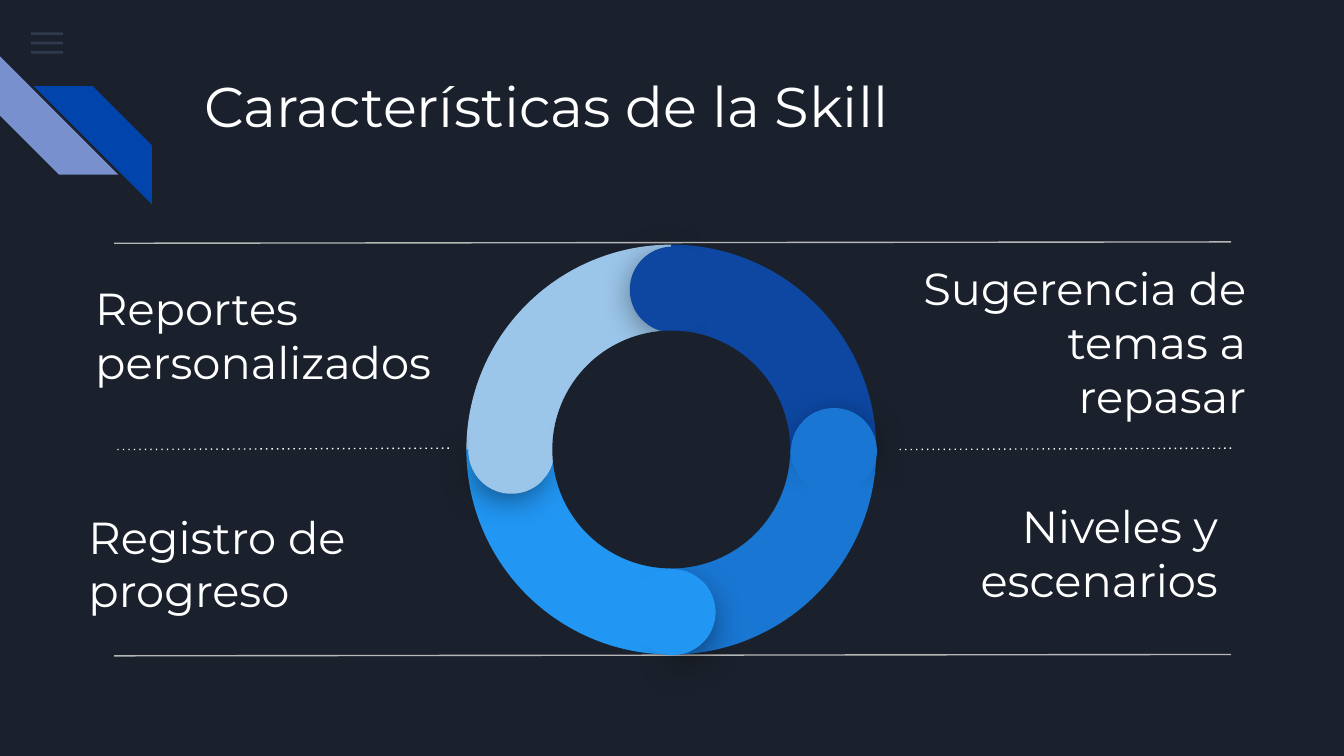
import math

from lxml import etree
from pptx import Presentation
from pptx import util as u
from pptx.dml.color import RGBColor
from pptx.enum import dml, shapes, text
from pptx.oxml import ns

NIGHT = RGBColor(0x1B, 0x21, 0x2C)
WHITE = RGBColor(0xFF, 0xFF, 0xFF)
GRAY = RGBColor(0xB7, 0xB7, 0xB7)
SLATE = RGBColor(0x55, 0x68, 0x8B)
LAVENDER = RGBColor(0x78, 0x90, 0xCD)
COBALT = RGBColor(0x01, 0x45, 0xAC)
BLACK = RGBColor(0, 0, 0)
# Ring quarters, clockwise from the upper left
RING_COLORS = (
    RGBColor(0x9B, 0xC5, 0xE9),
    RGBColor(0x0D, 0x47, 0xA1),
    RGBColor(0x19, 0x76, 0xD2),
    RGBColor(0x21, 0x96, 0xF3),
)
FONT = "Montserrat"
KIND = shapes.MSO_SHAPE


def add_child(parent, tag, **attributes):
    return etree.SubElement(parent, ns.qn(tag), attributes)


def add_figure(page, kind, box, color, rotation=0, adjustments=()):
    figure = page.shapes.add_shape(kind, *map(u.Inches, box))
    figure.shadow.inherit = False
    figure.fill.solid()
    figure.fill.fore_color.rgb = color
    figure.line.fill.background()
    figure.rotation = rotation
    for index, value in enumerate(adjustments):
        figure.adjustments[index] = value
    return figure


def add_centered(page, kind, center, size, color, rotation=0, adjustments=()):
    box = (center[0] - size / 2, center[1] - size / 2, size, size)
    return add_figure(page, kind, box, color, rotation, adjustments)


def add_soft_shadow(figure):
    effects = figure._element.spPr.find(ns.qn("a:effectLst"))
    shadow = add_child(effects, "a:outerShdw", blurRad=str(u.Pt(18)),
                       dist=str(u.Pt(4)), dir="5400000", algn="bl", rotWithShape="0")
    color = add_child(shadow, "a:srgbClr", val=str(BLACK))
    add_child(color, "a:alpha", val="55000")


def add_menu_icon(page, box):
    left, top, width, height = box
    bar = 0.02
    for index in range(3):
        y = top + index * (height - bar) / 2
        figure = add_figure(page, KIND.RECTANGLE, (left, y, width, bar), SLATE)
        color = figure.fill._xPr.find(ns.qn("a:solidFill"))[0]
        add_child(color, "a:alpha", val="36000")


def add_corner_stripes(page, box):
    left, top, width, height = box
    size = 0.88
    add_figure(page, KIND.DIAGONAL_STRIPE, (left, top, size, size), LAVENDER, 270, [0.5])
    stripe = add_figure(page, KIND.DIAGONAL_STRIPE,
                        (left + width - size, top + height - size, size, size),
                        COBALT, 0, [0.5])
    stripe._element.spPr.find(ns.qn("a:xfrm")).set("flipH", "1")


def add_text(page, box, words, size, align=text.PP_ALIGN.LEFT,
             anchor=text.MSO_ANCHOR.MIDDLE):
    frame = page.shapes.add_textbox(*map(u.Inches, box)).text_frame
    frame.word_wrap = True
    frame.vertical_anchor = anchor
    frame.margin_left = frame.margin_right = u.Inches(0.1)
    frame.margin_top = frame.margin_bottom = u.Inches(0.1)
    para = frame.paragraphs[0]
    para.alignment = align
    span = para.add_run()
    span.text = words
    span.font.name = FONT
    span.font.size = u.Pt(size)
    span.font.color.rgb = WHITE


def add_rule(page, right, left, y, color, dotted=False):
    """Draw a rule that drops slightly from right to left."""
    line = page.shapes.add_connector(
        shapes.MSO_CONNECTOR.STRAIGHT,
        *map(u.Inches, (right, y, left, y + 0.01)))
    line.line.color.rgb = color
    line.line.width = u.Pt(0.75)
    if dotted:
        line.line.dash_style = dml.MSO_LINE.ROUND_DOT
        line._element.spPr.find(".//" + ns.qn("a:prstDash")).set("val", "dot")
    add_child(line._element.spPr, "a:effectLst")


def add_rules(page, box):
    left, top, width, height = box
    right, middle = left + width, top + height / 2
    dotted_width = 2.49
    add_rule(page, right, left, top, GRAY)
    add_rule(page, left + dotted_width, left, middle, WHITE, True)
    add_rule(page, right, right - dotted_width, middle, WHITE, True)
    add_rule(page, right, left, top + height, GRAY)


def add_ring(page, box):
    """Draw four quarters, each with a rounded, shadowed leading end."""
    left, top, size, _ = box
    center = (left + size / 2, top + size / 2)
    nudge = 0.01

    def at_angle(angle, radius):
        turn = math.radians(angle)
        return (center[0] + nudge - radius * math.cos(turn),
                center[1] + nudge - radius * math.sin(turn))

    quarters = [(index * 90, color) for index, color in enumerate(RING_COLORS)]
    for angle, color in quarters:
        add_centered(page, KIND.PIE, center, size, color, angle, [107.96, 162.01])
    for angle, color in reversed(quarters[1:] + quarters[:1]):
        half = add_centered(page, KIND.PIE, at_angle(angle, 1.22), 0.57, color,
                            (angle + 39.5) % 360, [189.54, 83.81])
        add_soft_shadow(half)
        add_centered(page, KIND.CHORD, at_angle(angle, 1.2), 0.64, color,
                     angle + 4.1, [25.01, 18.12])
    add_centered(page, KIND.OVAL, center, 1.77, NIGHT)


def add_features(page, box):
    left, top, _, _ = box
    width, height = 2.75, 0.94
    features = (
        (0.05, 0, "Reportes personalizados", text.PP_ALIGN.LEFT),
        (5.85, 1.62, "Niveles y escenarios", text.PP_ALIGN.RIGHT),
        (6.06, 0.05, "Sugerencia de temas a repasar", text.PP_ALIGN.RIGHT),
        (0, 1.7, "Registro de progreso", text.PP_ALIGN.LEFT),
    )
    for x, y, words, align in features:
        add_text(page, (left + x, top + y, width, height), words, 24, align)


def main():
    deck = Presentation()
    deck.slide_width = u.Inches(10)
    deck.slide_height = deck.slide_width * 9 // 16
    page = deck.slides.add_slide(deck.slide_layouts[6])
    page.background.fill.solid()
    page.background.fill.fore_color.rgb = NIGHT
    add_menu_icon(page, (0.23, 0.24, 0.24, 0.16))
    add_corner_stripes(page, (0, 0.42, 1.13, 1.1))
    add_text(page, (1.42, 0.43, 7.7, 1), "Características de la Skill", 30,
             anchor=text.MSO_ANCHOR.TOP)
    add_rules(page, (0.85, 1.8, 8.31, 3.07))
    add_ring(page, (3.47, 1.82, 3.05, 3.05))
    add_features(page, (0.56, 2.02, 8.81, 2.64))
    deck.save("out.pptx")


if __name__ == "__main__":
    main()
